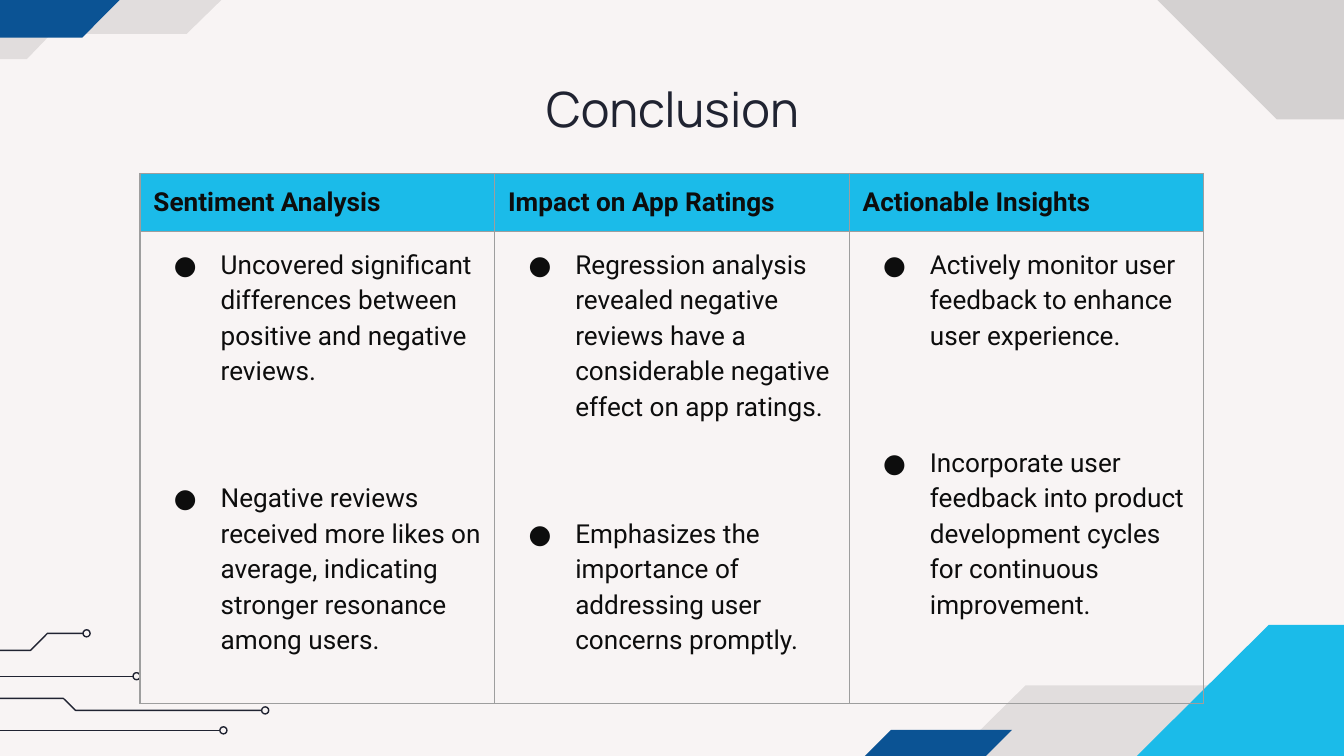
from lxml.etree import SubElement
from pptx import Presentation
from pptx.dml.color import RGBColor
from pptx.enum.shapes import MSO_CONNECTOR as CONNECTOR, MSO_SHAPE as SHAPE
from pptx.enum.text import MSO_ANCHOR as ANCHOR, PP_ALIGN as ALIGN
from pptx.oxml.ns import qn
from pptx.util import Pt

THEME = {
    "paper": RGBColor.from_string("F8F4F4"),
    "black": RGBColor.from_string("000000"),
    "navy": RGBColor.from_string("0B5394"),
    "cyan": RGBColor.from_string("1BBBE9"),
    "ink": RGBColor.from_string("202331"),
    "text": RGBColor.from_string("0D0D0D"),
    "border": RGBColor.from_string("9E9E9E"),
    "title": {"name": "Manrope", "size": Pt(26)},
    "header": {"name": "Roboto", "size": Pt(14), "bold": True},
    "body": {"name": "Roboto", "size": Pt(14), "bold": False},
}
LINE_WIDTH = Pt(0.75)

deck = Presentation()
deck.slide_width, deck.slide_height = Pt(720), Pt(405)
page = deck.slides.add_slide(deck.slide_layouts[6])
page.background.fill.solid()
page.background.fill.fore_color.rgb = THEME["paper"]


def draw_outline(points, closed):
    start, *rest = [(Pt(x), Pt(y)) for x, y in points]
    builder = page.shapes.build_freeform(*start)
    builder.add_line_segments(rest, close=closed)
    shape = builder.convert_to_shape()
    shape.shadow.inherit = False
    return shape


def write_span(para, text, style, color):
    span = para.add_run()
    span.text = text
    for name, value in THEME[style].items():
        setattr(span.font, name, value)
    span.font.color.rgb = THEME[color]


# Corner bands: colour, opacity in percent, corner points
BANDS = [
    ("black", 9, [(858, 346), (858, 583), (456, 583), (456, 409), (507, 409),
                  (549.4, 367.2), (667.4, 367.2), (690, 346)]),
    ("black", 14, [(806, 64), (806, -70), (550, -70), (684, 64)]),
    ("black", 9, [(-88.6, 31.7), (-88.6, -113), (157, -113), (157, -7.2),
                  (126, -7.2), (100, 18.2), (27.4, 18.2), (14.4, 31.7)]),
    ("navy", 100, [(-46.8, 20.2), (-26, -0.7), (64.8, -0.7), (44, 20.2)]),
    ("navy", 100, [(463, 405.4), (477.4, 391), (542.2, 391), (527.8, 405.4)]),
    ("cyan", 100, [(813.6, 334.8), (813.6, 481.5), (532, 481.5), (679.7, 334.8)]),
]
for color, opacity, points in BANDS:
    band = draw_outline(points, True)
    band.fill.solid()
    band.fill.fore_color.rgb = THEME[color]
    band.line.fill.background()
    if opacity < 100:
        rgb = band.fill._xPr.find(".//" + qn("a:srgbClr"))
        SubElement(rgb, qn("a:alpha"), val=str(opacity * 1000))

# Circuit traces, each ending in a small ring
RING = 3.8
TRACES = [
    [(-48, 362.3), (71.3, 362.3)],
    [(-75, 348.4), (16.4, 348.4), (25.4, 339.3), (44.5, 339.3)],
    [(-98, 374.2), (34, 374.2), (40.5, 380.6), (140.2, 380.6)],
    [(-116, 391.3), (117.8, 391.3)],
]
for points in TRACES:
    end_x, end_y = points[-1]
    if len(points) == 2:
        trace = page.shapes.add_connector(
            CONNECTOR.STRAIGHT, *[Pt(value) for point in points for value in point])
        SubElement(trace._element.spPr, qn("a:effectLst"))
    else:
        trace = draw_outline(points, False)
        trace.fill.background()
    ring = page.shapes.add_shape(
        SHAPE.OVAL, Pt(end_x), Pt(end_y - RING / 2), Pt(RING), Pt(RING))
    ring.shadow.inherit = False
    ring.fill.background()
    for part in (trace, ring):
        part.line.color.rgb = THEME["ink"]
        part.line.width = LINE_WIDTH

box = page.shapes.add_textbox(Pt(56.9), Pt(35.3), Pt(607), Pt(45.4))
frame = box.text_frame
for name, value in {"word_wrap": True, "vertical_anchor": ANCHOR.MIDDLE,
                    "margin_top": Pt(7.2), "margin_bottom": Pt(7.2)}.items():
    setattr(frame, name, value)
frame.paragraphs[0].alignment = ALIGN.CENTER
write_span(frame.paragraphs[0], "Conclusion", "title", "ink")

COLUMNS = {
    "Sentiment Analysis": [
        "Uncovered significant differences between positive and negative reviews.",
        "Negative reviews received more likes on average, indicating stronger "
        "resonance among users.",
    ],
    "Impact on App Ratings": [
        "Regression analysis revealed negative reviews have a considerable "
        "negative effect on app ratings.",
        "Emphasizes the importance of addressing user concerns promptly.",
    ],
    "Actionable Insights": [
        "Actively monitor user feedback to enhance user experience.",
        "Incorporate user feedback into product development cycles for "
        "continuous improvement.",
    ],
}
ROW_HEIGHTS = (31.3, 252.7)
COLUMN_WIDTH = 190
table = page.shapes.add_table(
    2, len(COLUMNS), Pt(75), Pt(92.9),
    Pt(COLUMN_WIDTH * len(COLUMNS)), Pt(sum(ROW_HEIGHTS))).table
table.first_row = table.horz_banding = False
for row, height in zip(table.rows, ROW_HEIGHTS):
    row.height = Pt(height)
for column in table.columns:
    column.width = Pt(COLUMN_WIDTH)

for cell in table.iter_cells():
    for name in ("margin_left", "margin_right", "margin_top", "margin_bottom"):
        setattr(cell, name, Pt(7.2))
    for side in ("a:lnL", "a:lnR", "a:lnT", "a:lnB"):
        edge = SubElement(cell._tc.get_or_add_tcPr(), qn(side), w=str(LINE_WIDTH))
        fill = SubElement(edge, qn("a:solidFill"))
        SubElement(fill, qn("a:srgbClr"), val=str(THEME["border"]))

for index, (heading, points) in enumerate(COLUMNS.items()):
    header, body = table.cell(0, index), table.cell(1, index)
    header.fill.solid()
    header.fill.fore_color.rgb = THEME["cyan"]
    body.fill.background()
    write_span(header.text_frame.paragraphs[0], heading, "header", "text")
    for number, point in enumerate(points):
        frame = body.text_frame
        para = frame.add_paragraph() if number else frame.paragraphs[0]
        props = para._p.get_or_add_pPr()
        props.set("marL", str(Pt(36)))
        props.set("indent", str(Pt(-25)))
        bullet_color = SubElement(props, qn("a:buClr"))
        SubElement(bullet_color, qn("a:srgbClr"), val=str(THEME["text"]))
        SubElement(props, qn("a:buFont"), typeface=THEME["body"]["name"])
        SubElement(props, qn("a:buChar"), char="●")
        para.line_spacing = 1.15
        para.space_before = Pt(49 if number else 0)
        write_span(para, point, "body", "text")

deck.save("out.pptx")
